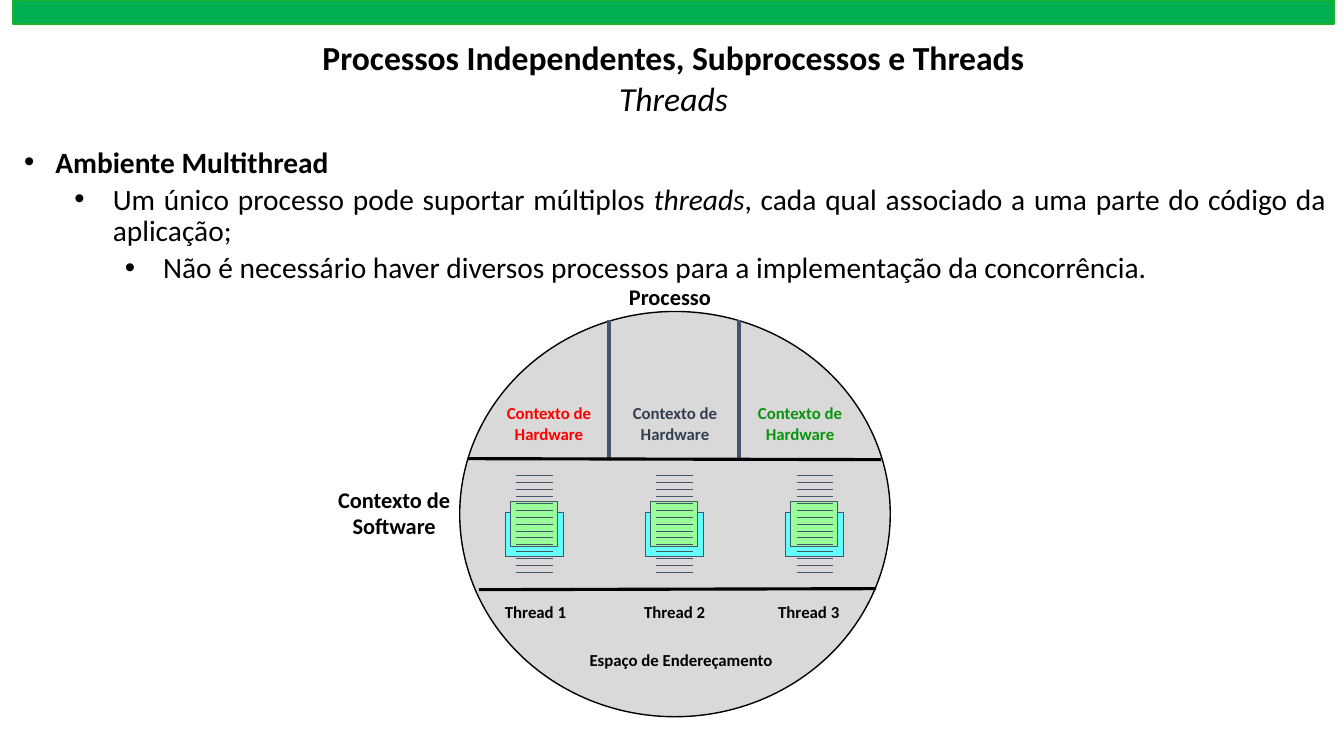
import pptx
import pptx.dml.color
import pptx.enum.shapes
import pptx.enum.text
import pptx.oxml.ns
import pptx.util
from lxml import etree
from pptx.util import Inches

COLORS = {
    "black": "000000", "bar": "00B050", "bar edge": "21B125", "circle": "D9D9D9",
    "slate": "44546A", "red": "FF0000", "dark slate": "333F50", "green": "0B940E",
    "cyan": "66FFFF", "light green": "99FF99",
}
SHAPE = pptx.enum.shapes.MSO_SHAPE
ALIGN = pptx.enum.text.PP_ALIGN
qn = pptx.oxml.ns.qn


def draw_shape(shapes, kind, place, fill, edge, weight):
    shape = shapes.add_shape(kind, *map(Inches, place))
    shape.shadow.inherit = False
    shape.fill.solid()
    shape.fill.fore_color.rgb = pptx.dml.color.RGBColor.from_string(COLORS[fill])
    shape.line.color.rgb = pptx.dml.color.RGBColor.from_string(COLORS[edge])
    shape.line.width = pptx.util.Pt(weight)


def draw_line(shapes, ends, color, weight):
    line = shapes.add_connector(pptx.enum.shapes.MSO_CONNECTOR.STRAIGHT, *map(Inches, ends))
    line.line.color.rgb = pptx.dml.color.RGBColor.from_string(COLORS[color])
    line.line.width = pptx.util.Pt(weight)
    etree.SubElement(line._element.spPr, qn("a:effectLst"))


deck = pptx.Presentation()
deck.slide_width = Inches(13.33)
deck.slide_height = Inches(7.5)
page = deck.slides.add_slide(deck.slide_layouts[6])

# Header bar and title
draw_shape(page.shapes, SHAPE.RECTANGLE, (0.13, 0, 13.1, 0.24), "bar", "bar edge", 1)
title = page.shapes.add_textbox(Inches(2.86), Inches(0.32), Inches(7.64), Inches(0.91))
title.text_frame.word_wrap = True
title.text_frame.text = "Processos Independentes, Subprocessos e Threads\nThreads"
for para in title.text_frame.paragraphs:
    para.alignment = ALIGN.CENTER
    para.font.name = "Calibri"
    para.font.size = pptx.util.Pt(24)
title.text_frame.paragraphs[0].runs[0].font.bold = True
title.text_frame.paragraphs[1].runs[0].font.italic = True

# Bullets: left margin, hanging indent, and spans of (text, bold, italic)
bullets = [
    (0.31, 0.31, [("Ambiente Multithread", True, False)]),
    (0.88, 0.38, [
        ("Um único processo pode suportar múltiplos ", False, False),
        ("threads", False, True),
        (", cada qual associado a uma parte do código da aplicação;", False, False),
    ]),
    (1.38, 0.38, [
        ("Não é necessário haver diversos processos para a implementação da concorrência.",
         False, False),
    ]),
]
body = page.shapes.add_textbox(Inches(0.14), Inches(1.38), Inches(13.11), Inches(1.52))
body.text_frame.word_wrap = True
for level, (margin, hanging, spans) in enumerate(bullets):
    para = body.text_frame.paragraphs[0] if level == 0 else body.text_frame.add_paragraph()
    para.level = level
    if level:
        para.alignment = ALIGN.JUSTIFY
        para.line_spacing = 0.9
        para.space_before = pptx.util.Pt(3.8)
    properties = para._p.get_or_add_pPr()
    properties.set("marL", str(Inches(margin)))
    properties.set("indent", str(-Inches(hanging)))
    etree.SubElement(properties, qn("a:buFont"), typeface="Arial")
    etree.SubElement(properties, qn("a:buChar"), char="•")
    para.font.name = "Calibri"
    para.font.size = pptx.util.Pt(21)
    for text, bold, italic in spans:
        span = para.add_run()
        span.text = text
        span.font.bold = bold
        span.font.italic = italic

# Process circle and its dividers
draw_shape(page.shapes, SHAPE.OVAL, (4.56, 3.09, 4.27, 4.02), "circle", "black", 1)
for x in (6.04, 7.33):
    draw_line(page.shapes, (x, 3.17, x, 4.55), "slate", 2.25)
draw_line(page.shapes, (4.64, 4.55, 8.74, 4.56), "black", 2.25)
draw_line(page.shapes, (4.75, 5.85, 8.69, 5.84), "black", 2.25)

# Labels: text, place, size, color
labels = [
    ("Contexto de Software", (3.16, 4.77, 1.5, 0.64), 16, "black"),
    ("Espaço de Endereçamento", (5.72, 6.4, 2.07, 0.55), 12, "black"),
    ("Processo", (6.06, 2.76, 1.17, 0.37), 16, "black"),
]
for x, color in ((4.86, "red"), (6.11, "dark slate"), (7.35, "green")):
    labels.append(("Contexto de Hardware", (x, 3.95, 1.17, 0.55), 12, color))
for number, x in enumerate((4.91, 6.29, 7.62), 1):
    labels.append((f"Thread {number}", (x, 5.92, 0.9, 0.33), 12, "black"))
for text, place, size, color in labels:
    box = page.shapes.add_textbox(*map(Inches, place))
    is_thread = text.startswith("Thread")
    box.text_frame.word_wrap = not is_thread
    box.text_frame.text = text
    para = box.text_frame.paragraphs[0]
    para.alignment = ALIGN.LEFT if is_thread else ALIGN.CENTER
    font = para.runs[0].font
    font.name = "Calibri"
    font.size = pptx.util.Pt(size)
    font.bold = True
    font.color.rgb = pptx.dml.color.RGBColor.from_string(COLORS[color])

# One icon per thread: two sheets crossed by evenly spaced code lines
for x in (5.01, 6.4, 7.79):
    icon = page.shapes.add_group_shape().shapes
    draw_shape(icon, SHAPE.RECTANGLE, (x, 5.08, 0.58, 0.44), "cyan", "slate", 0.75)
    draw_shape(icon, SHAPE.RECTANGLE, (x + 0.05, 4.98, 0.47, 0.44), "light green", "slate", 0.75)
    for row in range(15):
        y = 4.72 + row * 0.96 / 14
        draw_line(icon, (x + 0.11, y, x + 0.47, y), "slate", 0.75)

deck.save("out.pptx")
